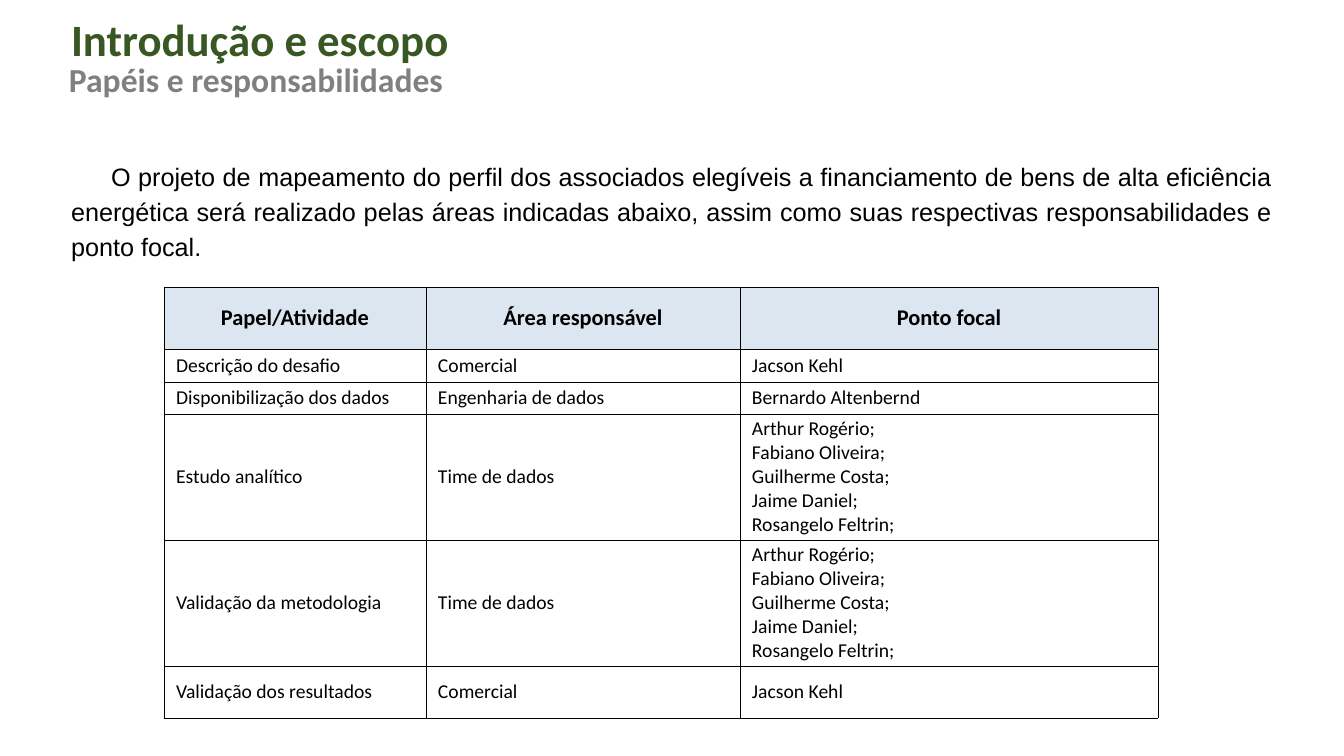
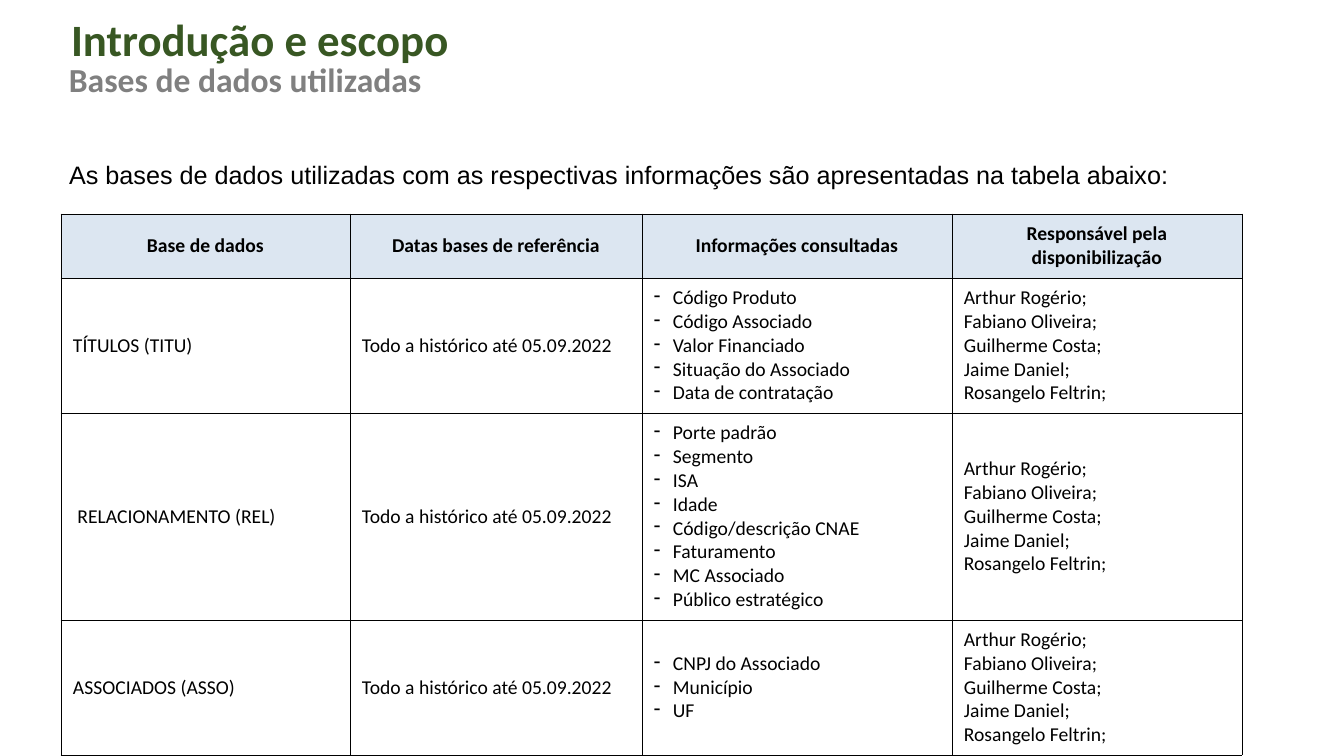
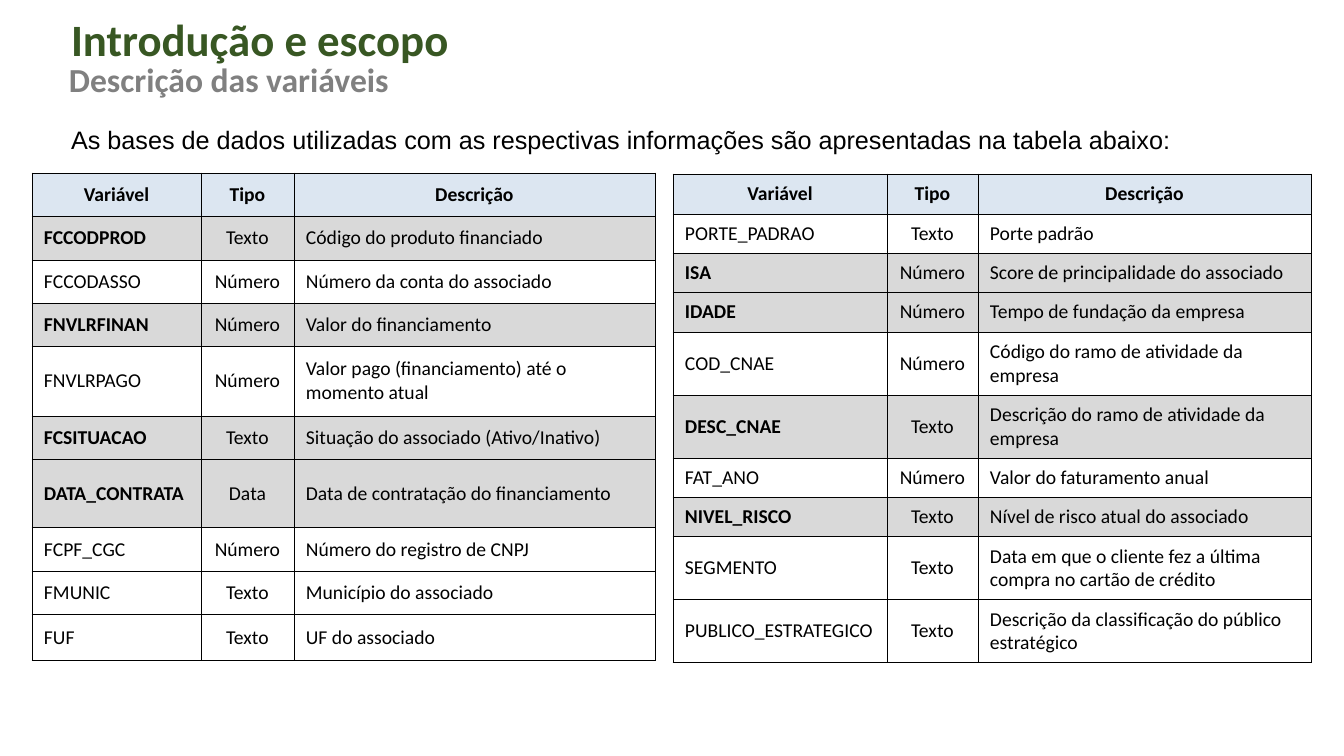
from lxml import etree
from pptx import Presentation
from pptx.dml.color import RGBColor
from pptx.enum.text import MSO_ANCHOR, MSO_AUTO_SIZE, PP_ALIGN
from pptx.oxml.ns import qn
from pptx.util import Emu, Pt

LEFT, CENTER, JUSTIFY = PP_ALIGN.LEFT, PP_ALIGN.CENTER, PP_ALIGN.JUSTIFY
TOP, MIDDLE = MSO_ANCHOR.TOP, MSO_ANCHOR.MIDDLE
NO_FIT = MSO_AUTO_SIZE.NONE
SCALE = 914400 / 100.8
COLORS = {
    "title": "385723",
    "sub": "808080",
    "text": "000000",
    "line": "000000",
    "head": "DCE6F1",
    "shade": "D9D9D9",
    "plain": "FFFFFF",
}

# Content
TITLE = "Introdução e escopo"
TEAM = "\n".join([
    "Arthur Rogério;", "Fabiano Oliveira;", "Guilherme Costa;",
    "Jaime Daniel;", "Rosangelo Feltrin;",
])
PERIOD = "Todo a histórico até 05.09.2022"
INTRO = ("As bases de dados utilizadas com as respectivas informações "
         "são apresentadas na tabela abaixo:")
SCOPE = ("O projeto de mapeamento do perfil dos associados elegíveis a "
         "financiamento de bens de alta eficiência energética será realizado "
         "pelas áreas indicadas abaixo, assim como suas respectivas "
         "responsabilidades e ponto focal.")
ROLES = [
    ("Papel/Atividade", "Área responsável", "Ponto focal"),
    ("Descrição do desafio", "Comercial", "Jacson Kehl"),
    ("Disponibilização dos dados", "Engenharia de dados", "Bernardo Altenbernd"),
    ("Estudo analítico", "Time de dados", TEAM),
    ("Validação da metodologia", "Time de dados", TEAM),
    ("Validação dos resultados", "Comercial", "Jacson Kehl"),
]
BASES = [
    ("Base de dados", "Datas bases de referência", "Informações consultadas",
     "Responsável pela disponibilização"),
    ("TÍTULOS (TITU)", PERIOD,
     "Código Produto\nCódigo Associado\nValor Financiado\n"
     "Situação do Associado\nData de contratação", TEAM),
    (" RELACIONAMENTO (REL)", PERIOD,
     "Porte padrão\nSegmento\nISA\nIdade\nCódigo/descrição CNAE\n"
     "Faturamento\nMC Associado\nPúblico estratégico", TEAM),
    ("ASSOCIADOS (ASSO)", PERIOD, "CNPJ do Associado\nMunicípio\nUF", TEAM),
]
FIELDS = ("Variável", "Tipo", "Descrição")
LOANS = [
    FIELDS,
    ("FCCODPROD", "Texto", "Código do produto financiado"),
    ("FCCODASSO", "Número", "Número da conta do associado"),
    ("FNVLRFINAN", "Número", "Valor do financiamento"),
    ("FNVLRPAGO", "Número", "Valor pago (financiamento) até o momento atual"),
    ("FCSITUACAO", "Texto", "Situação do associado (Ativo/Inativo)"),
    ("DATA_CONTRATA", "Data", "Data de contratação do financiamento"),
    ("FCPF_CGC", "Número", "Número do registro de CNPJ"),
    ("FMUNIC", "Texto", "Município do associado"),
    ("FUF", "Texto", "UF do associado"),
]
CLIENTS = [
    FIELDS,
    ("PORTE_PADRAO", "Texto", "Porte padrão"),
    ("ISA", "Número", "Score de principalidade do associado"),
    ("IDADE", "Número", "Tempo de fundação da empresa"),
    ("COD_CNAE", "Número", "Código do ramo de atividade da empresa"),
    ("DESC_CNAE", "Texto", "Descrição do ramo de atividade da empresa"),
    ("FAT_ANO", "Número", "Valor do faturamento anual"),
    ("NIVEL_RISCO", "Texto", "Nível de risco atual do associado"),
    ("SEGMENTO", "Texto",
     "Data em que o cliente fez a última compra no cartão de crédito"),
    ("PUBLICO_ESTRATEGICO", "Texto",
     "Descrição da classificação do público estratégico"),
]
KEYS = {"FCCODPROD", "FNVLRFINAN", "FCSITUACAO", "DATA_CONTRATA",
        "ISA", "IDADE", "DESC_CNAE", "NIVEL_RISCO"}


def px(length):
    return Emu(round(length * SCALE))


def write(frame, text, size=14, color="text", bold=False, font="Calibri",
          align=LEFT, margin=0, indent=0, bullet=None, lead=1.0):
    """Fill a text frame, one paragraph for each line of text."""
    for i, line in enumerate(text.split("\n")):
        para = frame.paragraphs[0] if i == 0 else frame.add_paragraph()
        props = para._p.get_or_add_pPr()
        props.set("marL", str(px(margin)))
        props.set("indent", str(px(indent)))
        if bullet:
            etree.SubElement(props, qn("a:buChar"), char=bullet)
        else:
            etree.SubElement(props, qn("a:buNone"))
        para.alignment = align
        para.line_spacing = lead
        para.space_before = Pt(0)
        run = para.add_run()
        run.text = line
        run.font.name = font
        run.font.size = Pt(size)
        run.font.bold = bold
        run.font.color.rgb = RGBColor.from_string(COLORS[color])


def place(shape, box, text, wrap=True, **style):
    """Move a text shape to its box and write in it."""
    shape.left, shape.top, shape.width, shape.height = map(px, box)
    frame = shape.text_frame
    frame.word_wrap = wrap
    frame.auto_size = NO_FIT
    frame.vertical_anchor = TOP
    write(frame, text, **style)


def start(deck, sub, width, intro, box, **style):
    """Add a slide with title, subtitle and opening text."""
    slide = deck.slides.add_slide(deck.slide_layouts[1])
    place(slide.shapes.title, (61, 7, 401, 65), TITLE, wrap=False,
          size=32, color="title", bold=True)
    place(slide.shapes.add_textbox(0, 0, 0, 0), (59, 54, width, 50), sub,
          wrap=False, size=24, color="sub", bold=True)
    place(slide.placeholders[1], box, intro, size=18, font="Arial", **style)
    return slide


def edge(cell):
    """Draw the four thin borders of a cell."""
    props = cell._tc.get_or_add_tcPr()
    for side in ("lnL", "lnR", "lnT", "lnB"):
        line = etree.SubElement(props, qn(f"a:{side}"), w=str(Pt(0.5)))
        fill = etree.SubElement(line, qn("a:solidFill"))
        etree.SubElement(fill, qn("a:srgbClr"), val=COLORS["line"])


def grid(slide, left, top, cols, highs, data, pad=7, head=14,
         center=None, listed=None):
    """Add a table; center and listed are column numbers."""
    frame = slide.shapes.add_table(len(data), len(cols), px(left), px(top),
                                   px(sum(cols)), px(sum(highs)))
    table = frame.table
    table.first_row = table.horz_banding = False
    for col, width in zip(table.columns, cols):
        col.width = px(width)
    for r, (row, high) in enumerate(zip(data, highs)):
        table.rows[r].height = px(high)
        key = row[0] in KEYS
        fill = "head" if r == 0 else "shade" if key else "plain"
        for c, text in enumerate(row):
            cell = table.cell(r, c)
            edge(cell)
            cell.fill.solid()
            cell.fill.fore_color.rgb = RGBColor.from_string(COLORS[fill])
            cell.vertical_anchor = MIDDLE
            cell.margin_left = cell.margin_right = px(12)
            cell.margin_top = cell.margin_bottom = px(pad)
            if r == 0:
                style = {"size": head, "bold": True, "align": CENTER}
            elif c == listed:
                style = {"margin": 19, "indent": -19, "bullet": "-"}
            else:
                style = {"bold": key and c == 0,
                         "align": CENTER if c == center else LEFT}
            write(cell.text_frame, text, **style)


def main():
    deck = Presentation()
    deck.slide_width, deck.slide_height = px(1344), px(756)

    # Roles
    slide = start(deck, "Papéis e responsabilidades", 398, SCOPE,
                  (61, 151, 1221, 113), align=JUSTIFY, indent=40, lead=Pt(25))
    grid(slide, 164, 287, (262, 314, 418), (62, 33, 32, 126, 126, 52), ROLES,
         pad=3, head=16)

    # Data bases
    slide = start(deck, "Bases de dados utilizadas", 377, INTRO,
                  (59, 154, 1157, 40))
    grid(slide, 61, 214, (289, 292, 310, 290), (64, 135, 207, 135), BASES,
         listed=2)

    # Variables
    slide = start(deck, "Descrição das variáveis", 344, INTRO,
                  (61, 119, 1197, 40))
    grid(slide, 32, 173, (169, 93, 361),
         (43, 44, 43, 43, 70, 43, 69, 44, 43, 46), LOANS, center=1)
    grid(slide, 673, 174, (214, 91, 333),
         (40, 39, 39, 40, 63, 63, 39, 40, 63, 63), CLIENTS, center=1)

    deck.save("out.pptx")


if __name__ == "__main__":
    main()
